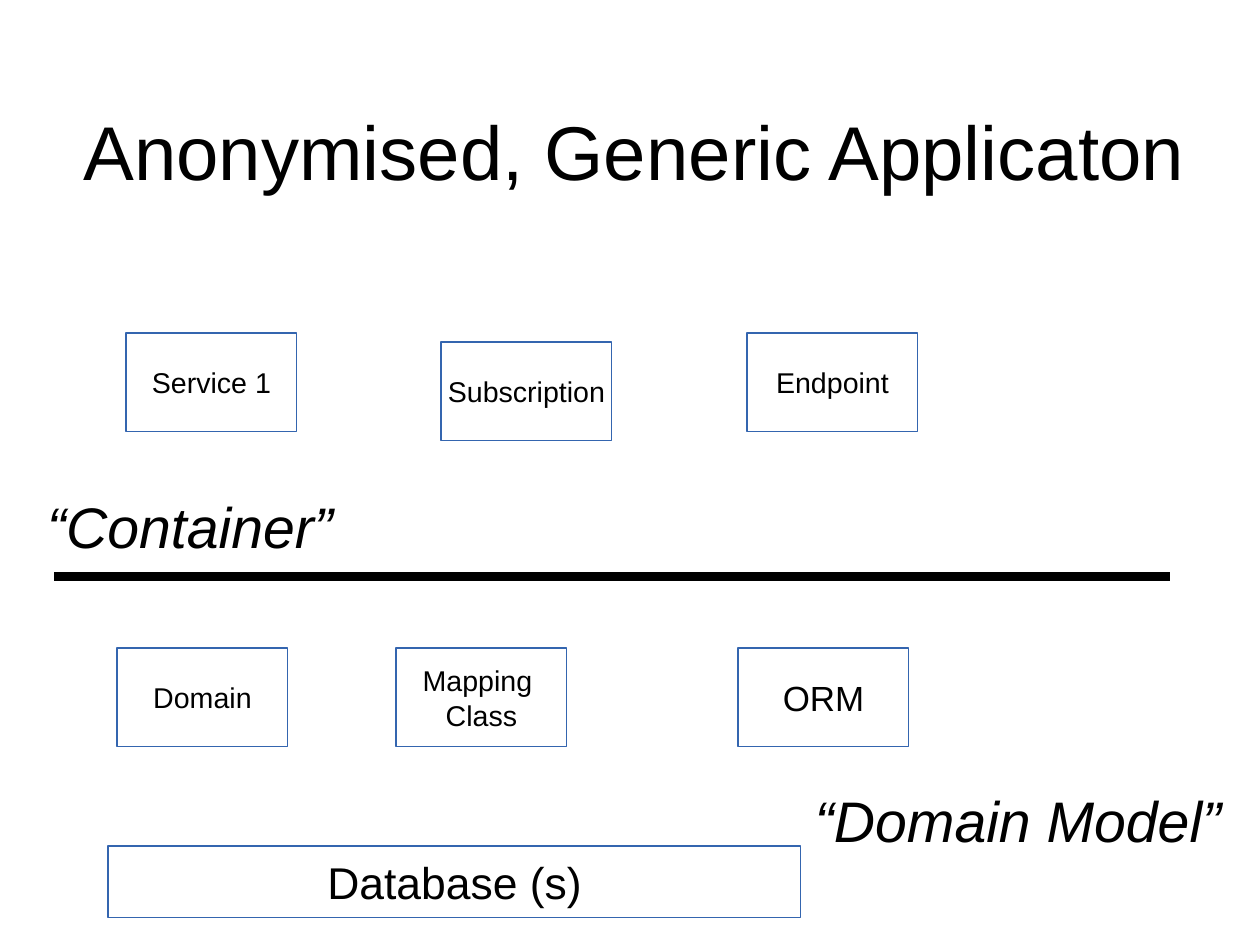
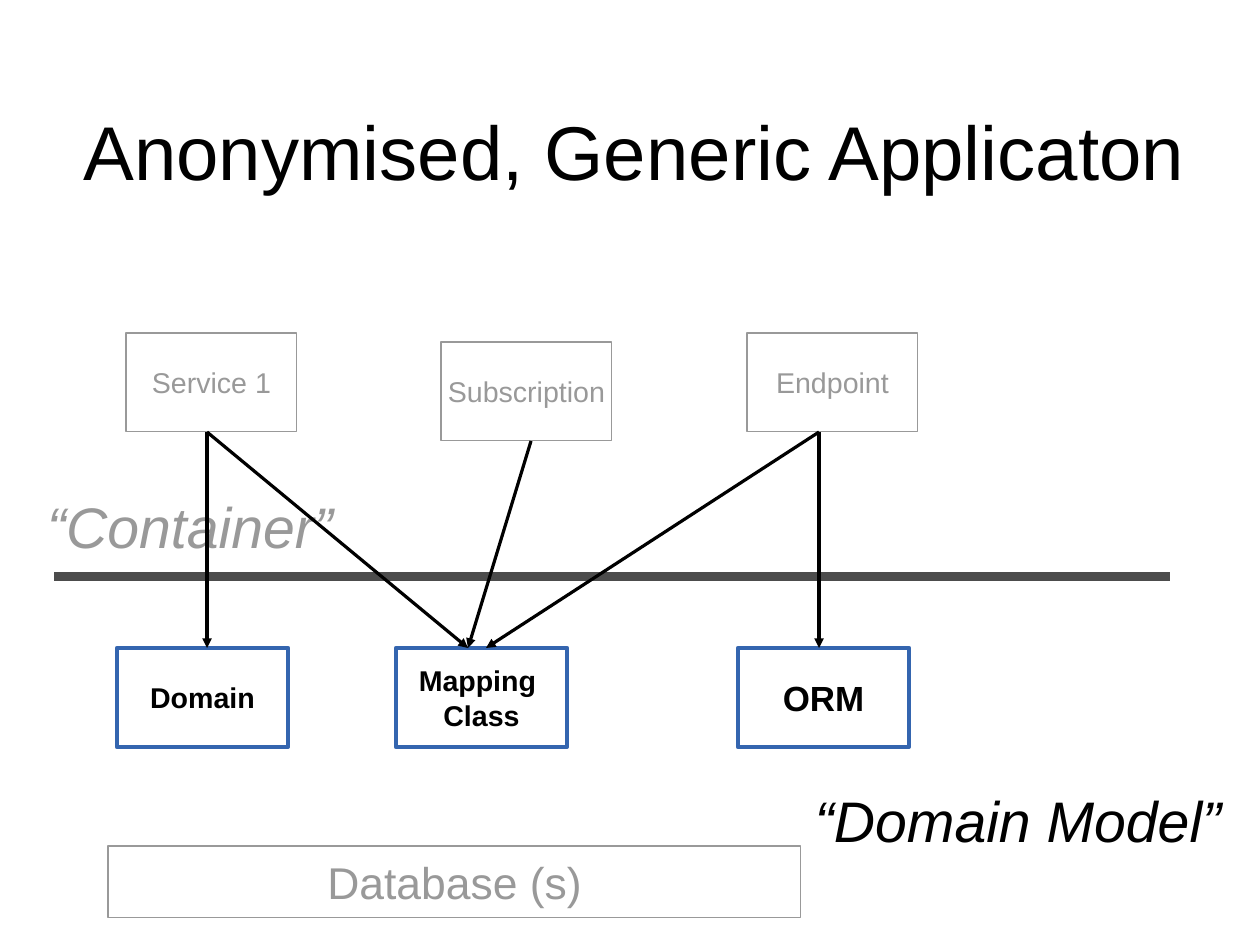
from dataclasses import dataclass

from lxml import etree
from pptx import Presentation
from pptx.dml.color import RGBColor
from pptx.enum.shapes import MSO_CONNECTOR, MSO_SHAPE
from pptx.enum.text import MSO_ANCHOR, MSO_AUTO_SIZE, PP_ALIGN
from pptx.oxml.ns import qn
from pptx.util import Inches, Mm, Pt


@dataclass(frozen=True)
class Theme:
    font: str = "Arial"
    ink: str = "000000"
    blue: str = "3465AF"
    muted: str = "999999"
    soft_rule: str = "4C4C4C"
    title: int = 48
    layer: int = 36
    database: int = 28
    large: int = 22
    label: int = 18
    hairline: float = 0
    strong: float = 2.83
    rule: float = 5.67


THEME = Theme()

# Layout grid: 140 columns by 105 rows of 2 mm cells
CELL = Mm(2)
COLUMNS, ROWS = 140, 105
BOX_WIDTH, BOX_HEIGHT = 19, 11
TOP_ROW, LOWER_ROW, RULE_ROW = 37, 72, 64

# Content; "upper" and "lower" name the side of the dividing rule
TITLE = "Anonymised, Generic Applicaton"
TITLE_AREA = (8, 11, 125, 10.8)
BOX_SIZE = (BOX_WIDTH, BOX_HEIGHT)
BOXES = [  # text, type size, (column, row, width, height), group
    ("Service 1", THEME.label, (14, TOP_ROW, *BOX_SIZE), "upper"),
    ("Subscription", THEME.label, (49, TOP_ROW + 1, *BOX_SIZE), "upper"),
    ("Endpoint", THEME.label, (83, TOP_ROW, *BOX_SIZE), "upper"),
    ("Domain", THEME.label, (13, LOWER_ROW, *BOX_SIZE), "lower"),
    ("Mapping \nClass", THEME.label, (44, LOWER_ROW, *BOX_SIZE), "lower"),
    ("ORM", THEME.large, (82, LOWER_ROW, *BOX_SIZE), "lower"),
    ("Database (s)", THEME.database, (12, 94, 77, 8), "storage"),
]
LAYERS = [  # text, (column, row, width, height), group
    ("“Container”", (4, 54, 34.3, 8.4), "upper"),
    ("“Domain Model”", (89.3, 86.6, 47.8, 8.4), "lower"),
]
ARROWS = [  # start column, rows below the upper boxes, end column
    (23, 0, 23),
    (23, 0, 52),
    (59, 1, 52),
    (91, 0, 91),
    (91, 0, 54),
]
SLIDES = [  # group in focus, arrows shown
    (None, False),
    ("lower", True),
]


def cells(*counts):
    return [round(count * CELL) for count in counts]


def write(shape, text, size, color, align=PP_ALIGN.LEFT, anchor=MSO_ANCHOR.TOP,
          bold=False, italic=False, extra_inset=0):
    frame = shape.text_frame
    frame.text = text
    frame.word_wrap = False
    frame.auto_size = MSO_AUTO_SIZE.NONE
    frame.vertical_anchor = anchor
    frame.margin_left = frame.margin_right = Inches(0.1 + extra_inset)
    frame.margin_top = frame.margin_bottom = Inches(0.05 + extra_inset)
    for para in frame.paragraphs:
        para.alignment = align
        for span in para.runs:
            span.font.name = THEME.font
            span.font.size = Pt(size)
            span.font.bold = bold
            span.font.italic = italic
            span.font.color.rgb = RGBColor.from_string(color)


def style_line(line, color, width):
    line.color.rgb = RGBColor.from_string(color)
    line.width = Pt(width)


def add_title(page):
    title = page.shapes.title
    title.left, title.top, title.width, title.height = cells(*TITLE_AREA)
    write(title, TITLE, THEME.title, THEME.ink)


def add_box(page, text, size, area, focused, faded):
    box = page.shapes.add_shape(MSO_SHAPE.RECTANGLE, *cells(*area))
    box.shadow.inherit = False
    box.fill.background()
    style_line(box.line, THEME.muted if faded else THEME.blue,
               THEME.strong if focused else THEME.hairline)
    write(box, text, size, THEME.muted if faded else THEME.ink,
          PP_ALIGN.CENTER, MSO_ANCHOR.MIDDLE, bold=focused,
          extra_inset=0.02 if focused else 0)


def add_line(page, start, end, color, width, arrow=False):
    connector = page.shapes.add_connector(
        MSO_CONNECTOR.STRAIGHT, *cells(*start, *end))
    style_line(connector.line, color, width)
    if arrow:
        outline = connector.line._get_or_add_ln()
        etree.SubElement(outline, qn("a:tailEnd"), type="triangle")
    etree.SubElement(connector._element.spPr, qn("a:effectLst"))


def build_slide(deck, focus, with_arrows):
    page = deck.slides.add_slide(deck.slide_layouts[5])
    add_title(page)

    # Dividing rule between container and domain model
    add_line(page, (6, RULE_ROW), (130, RULE_ROW),
             THEME.soft_rule if focus else THEME.ink, THEME.rule)

    # Components
    for text, size, area, group in BOXES:
        focused = group == focus
        add_box(page, text, size, area, focused, bool(focus) and not focused)

    # Layer names
    for text, area, group in LAYERS:
        label = page.shapes.add_textbox(*cells(*area))
        faded = focus and group != focus
        write(label, text, THEME.layer, THEME.muted if faded else THEME.ink,
              italic=True)

    # Calls across the rule
    if with_arrows:
        for start, drop, end in ARROWS:
            add_line(page, (start, TOP_ROW + BOX_HEIGHT + drop),
                     (end, LOWER_ROW), THEME.ink, THEME.hairline, arrow=True)


def main():
    deck = Presentation()
    deck.slide_width, deck.slide_height = cells(COLUMNS, ROWS)
    for focus, with_arrows in SLIDES:
        build_slide(deck, focus, with_arrows)
    deck.save("out.pptx")


if __name__ == "__main__":
    main()
